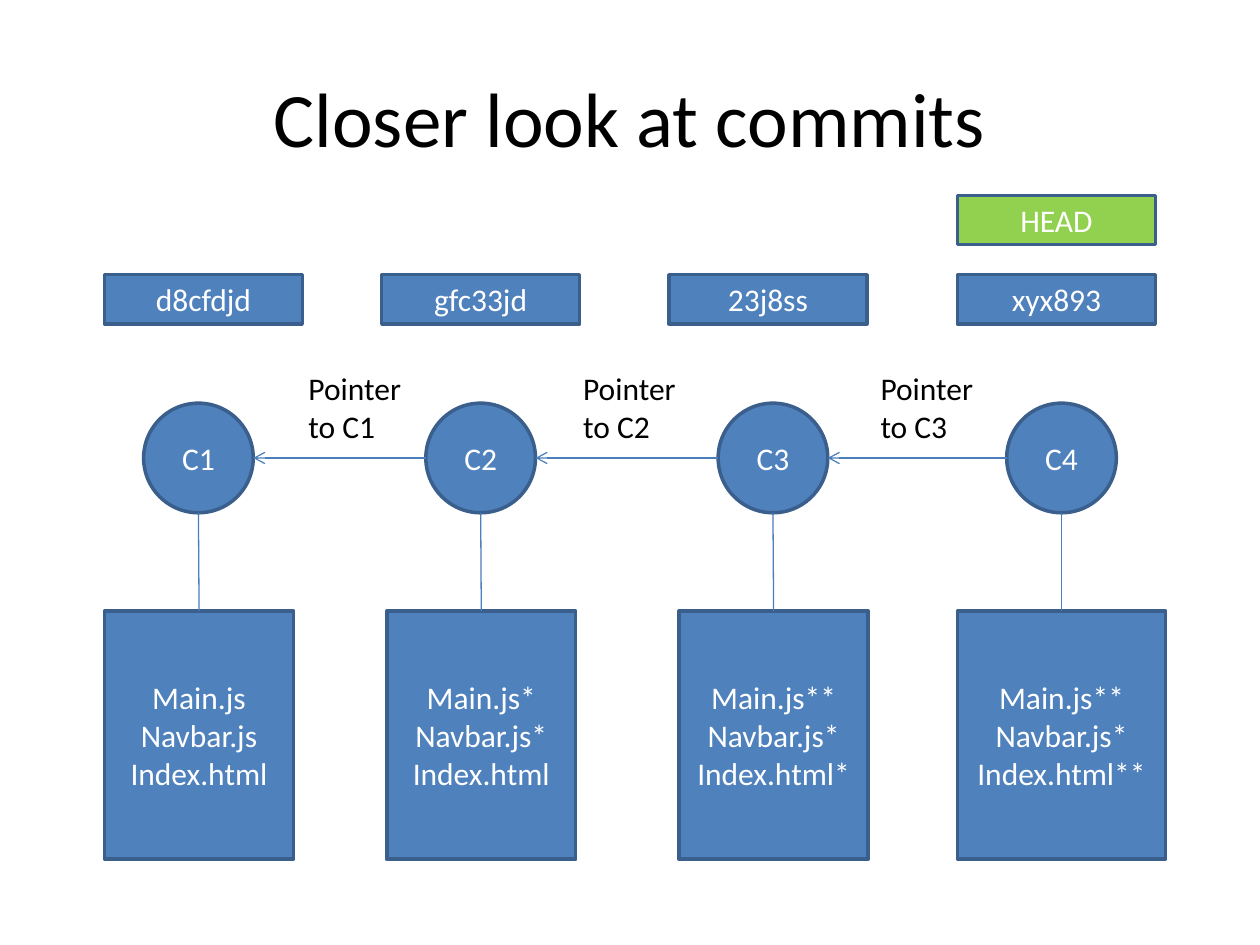
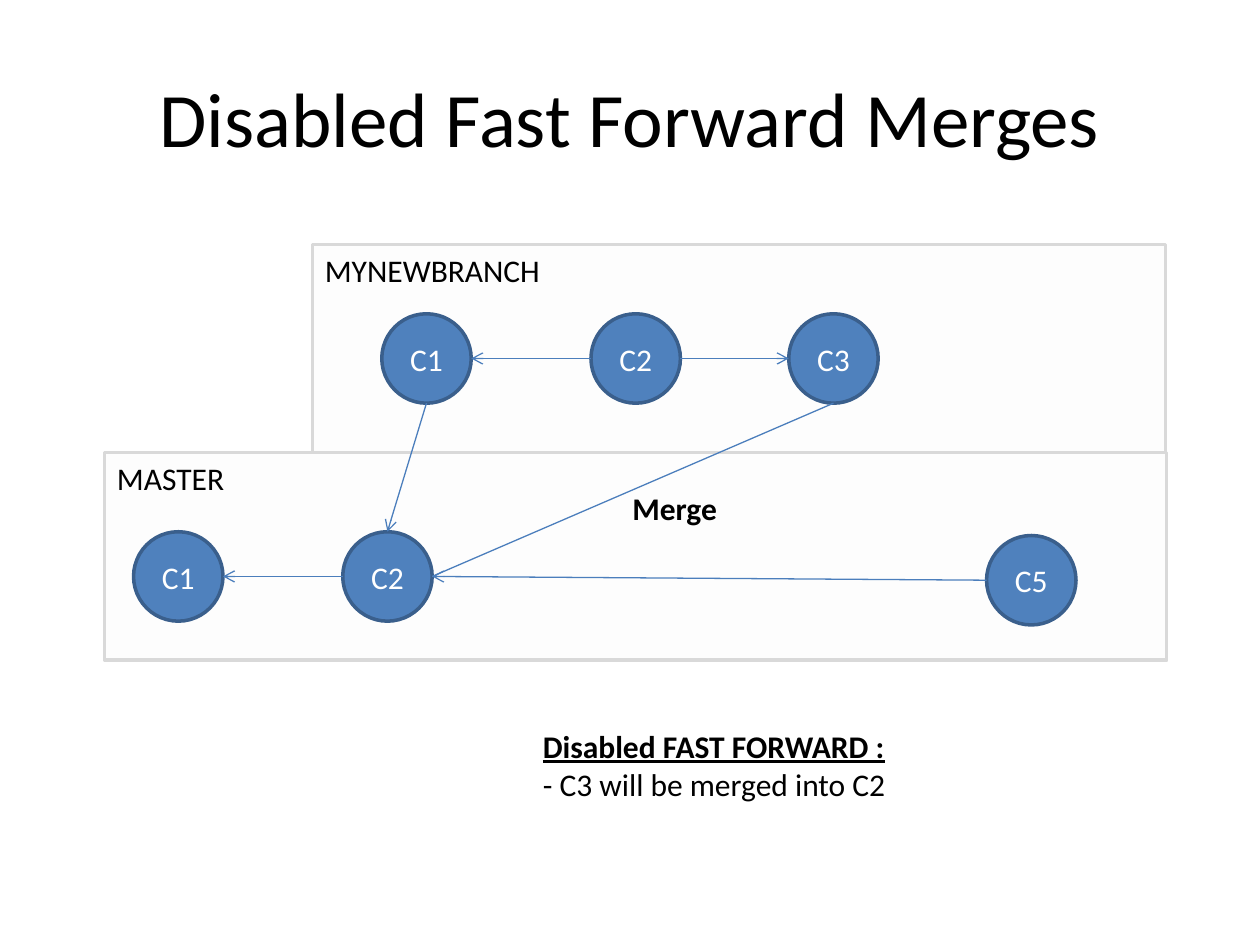
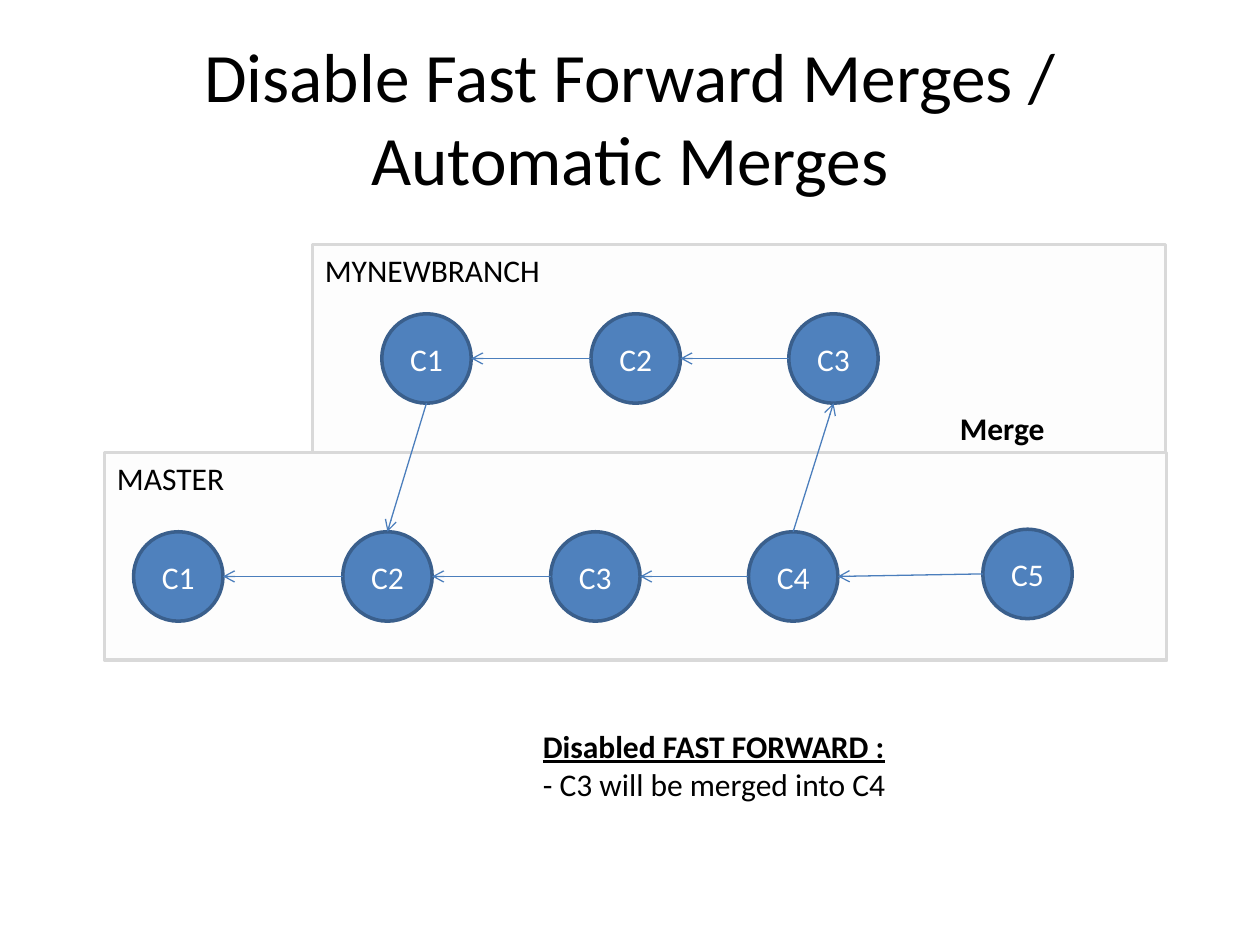
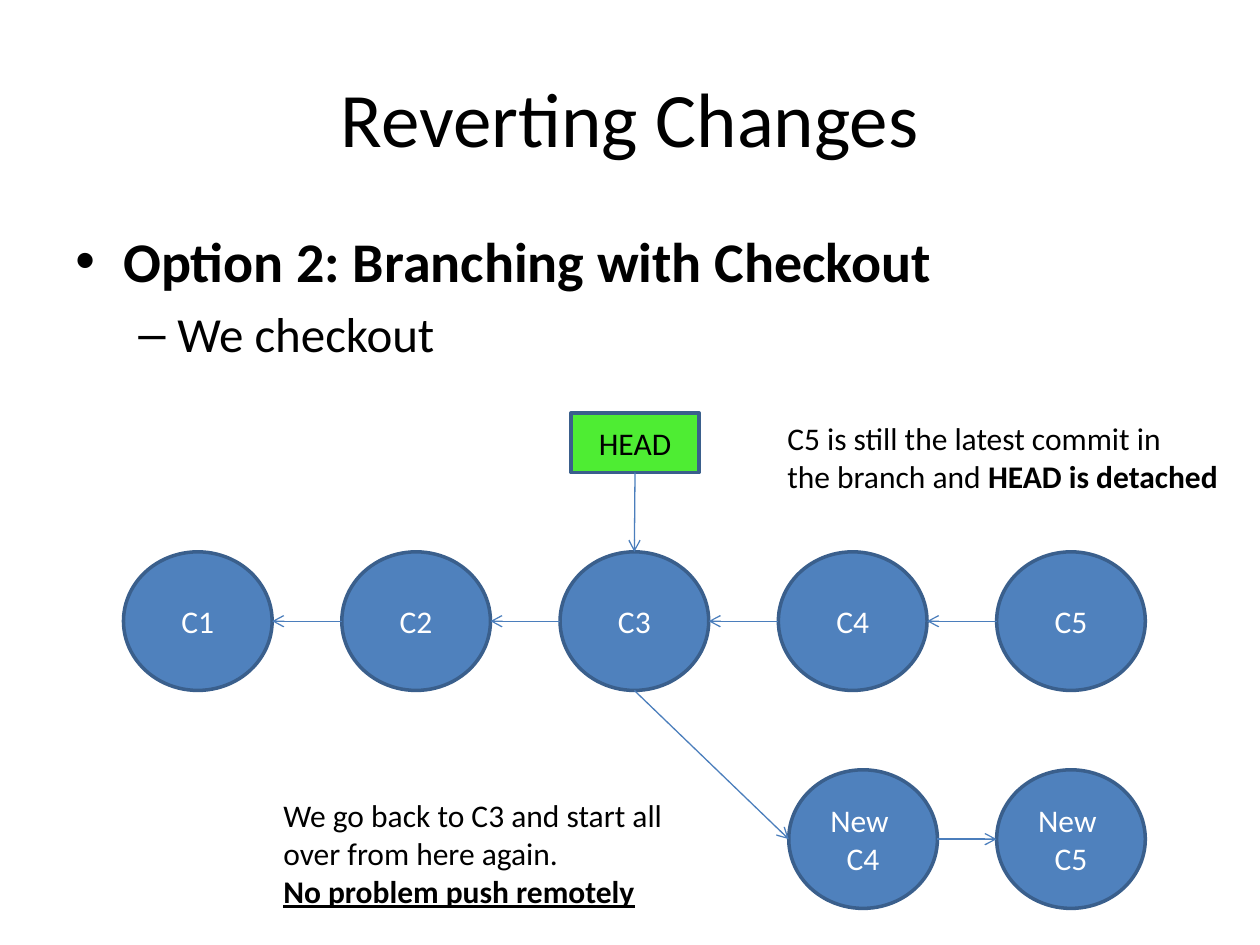
from lxml.etree import SubElement
from pptx import Presentation
from pptx.dml.color import RGBColor
from pptx.enum.shapes import MSO_CONNECTOR, MSO_SHAPE
from pptx.enum.text import MSO_ANCHOR, MSO_AUTO_SIZE, PP_ALIGN
from pptx.oxml.ns import qn
from pptx.util import Inches, Pt

FONT = "Calibri"
BLACK, WHITE = "000000", "FFFFFF"
BLUE, EDGE, WIRE, GRAY = "4F81BD", "3A5F8C", "4B7EBC", "D9D9D9"
LIME, GREEN = "92D050", "4EED33"
TOP, LEFT, BOTTOM, RIGHT = range(4)


def tint(target, color):
    """Give a fill a solid colour from a hex string."""
    target.solid()
    target.fore_color.rgb = RGBColor.from_string(color)


def add_run(para, text, size=18, color=BLACK, style=""):
    """Add one run; style holds b for bold and u for underline."""
    run = para.add_run()
    run.text = text
    font = run.font
    font.name, font.size = FONT, Pt(size)
    font.bold, font.underline = "b" in style, "u" in style
    tint(font.fill, color)


def write(frame, lines, size=18, color=BLACK, align=PP_ALIGN.LEFT):
    """Write lines, each a string or a list of (text, style) runs."""
    for i, line in enumerate(lines):
        para = frame.paragraphs[0] if i == 0 else frame.add_paragraph()
        para.alignment = align
        for text, style in [(line, "")] if isinstance(line, str) else line:
            add_run(para, text, size, color, style)


def add_title(slide, text, size):
    """Add the centred slide title."""
    box = slide.shapes.add_textbox(Inches(0.5), Inches(0.3), Inches(9), Inches(1.25))
    frame = box.text_frame
    frame.word_wrap = True
    frame.vertical_anchor = MSO_ANCHOR.MIDDLE
    write(frame, [text], size, align=PP_ALIGN.CENTER)


def new_slide(deck, title, size=44):
    """Add a blank slide with its title."""
    slide = deck.slides.add_slide(deck.slide_layouts[6])
    add_title(slide, title, size)
    return slide


def add_note(slide, x, y, w, h, lines):
    """Add a plain text box that fits its text."""
    box = slide.shapes.add_textbox(Inches(x), Inches(y), Inches(w), Inches(h))
    frame = box.text_frame
    frame.word_wrap = False
    frame.auto_size = MSO_AUTO_SIZE.SHAPE_TO_FIT_TEXT
    write(frame, lines)


def add_shape(slide, kind, x, y, w, h, fill, edge):
    """Add a flat shape with a fill and an outline."""
    shape = slide.shapes.add_shape(kind, Inches(x), Inches(y), Inches(w), Inches(h))
    shape.shadow.inherit = False
    tint(shape.fill, fill)
    tint(shape.line.fill, edge)
    shape.line.width = Pt(2)
    return shape


def add_node(slide, kind, x, y, w, h, lines, fill=BLUE, color=WHITE):
    """Add a shape with centred text."""
    node = add_shape(slide, kind, x, y, w, h, fill, EDGE)
    node.text_frame.vertical_anchor = MSO_ANCHOR.MIDDLE
    write(node.text_frame, lines, color=color, align=PP_ALIGN.CENTER)
    return node


def add_box(slide, *args, **look):
    """Add a rectangle with centred text."""
    return add_node(slide, MSO_SHAPE.RECTANGLE, *args, **look)


def add_dot(slide, *args):
    """Add a commit as an ellipse."""
    return add_node(slide, MSO_SHAPE.OVAL, *args)


def add_panel(slide, x, y, w, name):
    """Add a pale branch panel with its name in the corner."""
    panel = add_shape(slide, MSO_SHAPE.RECTANGLE, x, y, w, 1.65, GRAY, GRAY)
    color = panel.fill._xPr.find(qn("a:solidFill"))[0]
    SubElement(color, qn("a:alpha"), val="4000")
    panel.text_frame.vertical_anchor = MSO_ANCHOR.TOP
    write(panel.text_frame, [name])


def find_side(shape, side):
    """Return the middle of one side of a shape."""
    mid_x, mid_y = shape.left + shape.width // 2, shape.top + shape.height // 2
    return {
        TOP: (mid_x, shape.top),
        LEFT: (shape.left, mid_y),
        BOTTOM: (mid_x, shape.top + shape.height),
        RIGHT: (shape.left + shape.width, mid_y),
    }[side]


def link(slide, start, out, end, into, arrow=True):
    """Draw a line between two sides, joined where it meets a rectangle."""
    wire = slide.shapes.add_connector(
        MSO_CONNECTOR.STRAIGHT, *find_side(start, out), *find_side(end, into))
    if start.auto_shape_type == MSO_SHAPE.RECTANGLE:
        wire.begin_connect(start, out)
    if end.auto_shape_type == MSO_SHAPE.RECTANGLE:
        wire.end_connect(end, into)
    tint(wire.line.fill, WIRE)
    wire.line.width = Pt(0.75)
    props = wire._element.spPr
    if arrow:
        SubElement(props.find(qn("a:ln")), qn("a:tailEnd"), type="arrow")
    SubElement(props, qn("a:effectLst"))


def chain(slide, dots):
    """Point each commit back to the one before it."""
    for prev, dot in zip(dots, dots[1:]):
        link(slide, dot, LEFT, prev, RIGHT)


def set_bullet(para, mark, left, hang, space):
    """Give a paragraph a hanging bullet."""
    para.space_before = Pt(space)
    props = para._p.get_or_add_pPr()
    props.set("marL", str(Inches(left)))
    props.set("indent", str(-Inches(hang)))
    SubElement(props, qn("a:buFont"), typeface="Arial")
    SubElement(props, qn("a:buChar"), char=mark)


def add_list(slide):
    """Add the two-level bullet list."""
    box = slide.shapes.add_textbox(Inches(0.5), Inches(1.75), Inches(9), Inches(1.53))
    frame = box.text_frame
    frame.word_wrap = True
    head, sub = frame.paragraphs[0], frame.add_paragraph()
    sub.level = 1
    set_bullet(head, "•", 0.38, 0.38, 6.4)
    set_bullet(sub, "–", 0.81, 0.31, 5.6)
    add_run(head, "Option 2: Branching with Checkout", 32, style="b")
    add_run(sub, "We checkout", 28)


def draw_commits(deck):
    """Build the slide on what a commit holds."""
    slide = new_slide(deck, "Closer look at commits")
    columns = [
        (1.14, 0.83, 1.5, 0.83, "d8cfdjd", ("", "", "")),
        (3.38, 3.07, 1.5, 3.03, "gfc33jd", ("*", "*", "")),
        (5.7, 5.39, 1.5, 5.31, "23j8ss", ("**", "*", "*")),
        (7.99, 7.6, 1.65, 7.6, "xyx893", ("**", "*", "**")),
    ]
    names = ("Main.js", "Navbar.js", "Index.html")
    dots = []
    for i, (dot_x, box_x, width, tag_x, tag, marks) in enumerate(columns, 1):
        dot = add_dot(slide, dot_x, 3.2, 0.87, 0.87, [f"C{i}"])
        files = [name + mark for name, mark in zip(names, marks)]
        box = add_box(slide, box_x, 4.85, width, 1.97, files)
        add_box(slide, tag_x, 2.18, 1.57, 0.39, [tag])
        link(slide, dot, BOTTOM, box, TOP, arrow=False)
        dots.append(dot)
    chain(slide, dots)
    for i, x in enumerate((2.35, 4.53, 6.89), 1):
        add_note(slide, x, 2.88, 0.94, 0.71, ["Pointer", f"to C{i}"])
    add_box(slide, 7.6, 1.55, 1.57, 0.39, ["HEAD"], fill=LIME)


def add_row(slide, y, places):
    """Add a row of small commits numbered from C1."""
    return [add_dot(slide, x, y, 0.71, 0.71, [f"C{i}"])
            for i, x in enumerate(places, 1)]


def draw_merge(deck, title, size, places, goal, merge, last):
    """Build what the merge slides share; return slide, both rows and C5."""
    slide = new_slide(deck, title, size)
    add_panel(slide, 0.83, 3.59, 8.43, "MASTER")
    add_panel(slide, 2.48, 1.94, 6.77, "MYNEWBRANCH")
    master = add_row(slide, 4.22, places)
    branch = add_row(slide, 2.49, (3.03, 4.69, 6.26))
    newest = add_dot(slide, *last, 0.71, 0.71, ["C5"])
    chain(slide, master + [newest])
    chain(slide, branch[:2])
    link(slide, branch[0], BOTTOM, master[1], TOP)
    add_note(slide, *merge, 0.87, 0.4, [[("Merge", "b")]])
    add_note(slide, 4.21, 5.72, 2.94, 0.71, [
        [("Disabled FAST FORWARD :", "bu")], f"- C3 will be merged into {goal}"])
    return slide, master, branch


def draw_disabled(deck):
    """Build the slide that merges into C2."""
    slide, master, branch = draw_merge(
        deck, "Disabled Fast Forward Merges", 44, (1.06, 2.72), "C2",
        (4.92, 3.83), (7.83, 4.25))
    link(slide, branch[1], RIGHT, branch[2], LEFT)
    link(slide, master[1], RIGHT, branch[2], BOTTOM, arrow=False)


def draw_auto(deck):
    """Build the slide that merges into C4."""
    slide, master, branch = draw_merge(
        deck, "Disable Fast Forward Merges / Automatic Merges", 39.6,
        (1.06, 2.72, 4.37, 5.94), "C4", (7.52, 3.2), (7.8, 4.2))
    chain(slide, branch[1:])
    link(slide, master[3], TOP, branch[2], BOTTOM)


def draw_revert(deck):
    """Build the slide on branching with checkout."""
    slide = new_slide(deck, "Reverting Changes")
    add_list(slide)
    step = (7.91 - 0.98) / 4
    dots = [add_dot(slide, 0.98 + i * step, 4.38, 1.18, 1.1, [f"C{i + 1}"])
            for i in range(5)]
    chain(slide, dots)
    head = add_box(slide, 4.53, 3.28, 1.02, 0.47, ["HEAD"], fill=GREEN, color=BLACK)
    link(slide, head, BOTTOM, dots[2], TOP)
    fresh, final = [add_dot(slide, x, 6.11, 1.18, 1.1, ["New ", name])
                    for x, name in ((6.26, "C4"), (7.91, "C5"))]
    link(slide, dots[2], BOTTOM, fresh, LEFT)
    link(slide, fresh, RIGHT, final, LEFT)
    add_note(slide, 6.15, 3.28, 3.69, 0.71, [
        "C5 is still the latest commit in",
        [("the branch and ", ""), ("HEAD is detached", "b")]])
    add_note(slide, 2.15, 6.27, 3.25, 1.01, [
        "We go back to C3 and start all", "over from here again.",
        [("No problem push remotely", "bu")]])


def main():
    """Build and save the deck."""
    deck = Presentation()
    deck.slide_width, deck.slide_height = Inches(10), Inches(7.5)
    draw_commits(deck)
    draw_disabled(deck)
    draw_auto(deck)
    draw_revert(deck)
    deck.save("out.pptx")


if __name__ == "__main__":
    main()
